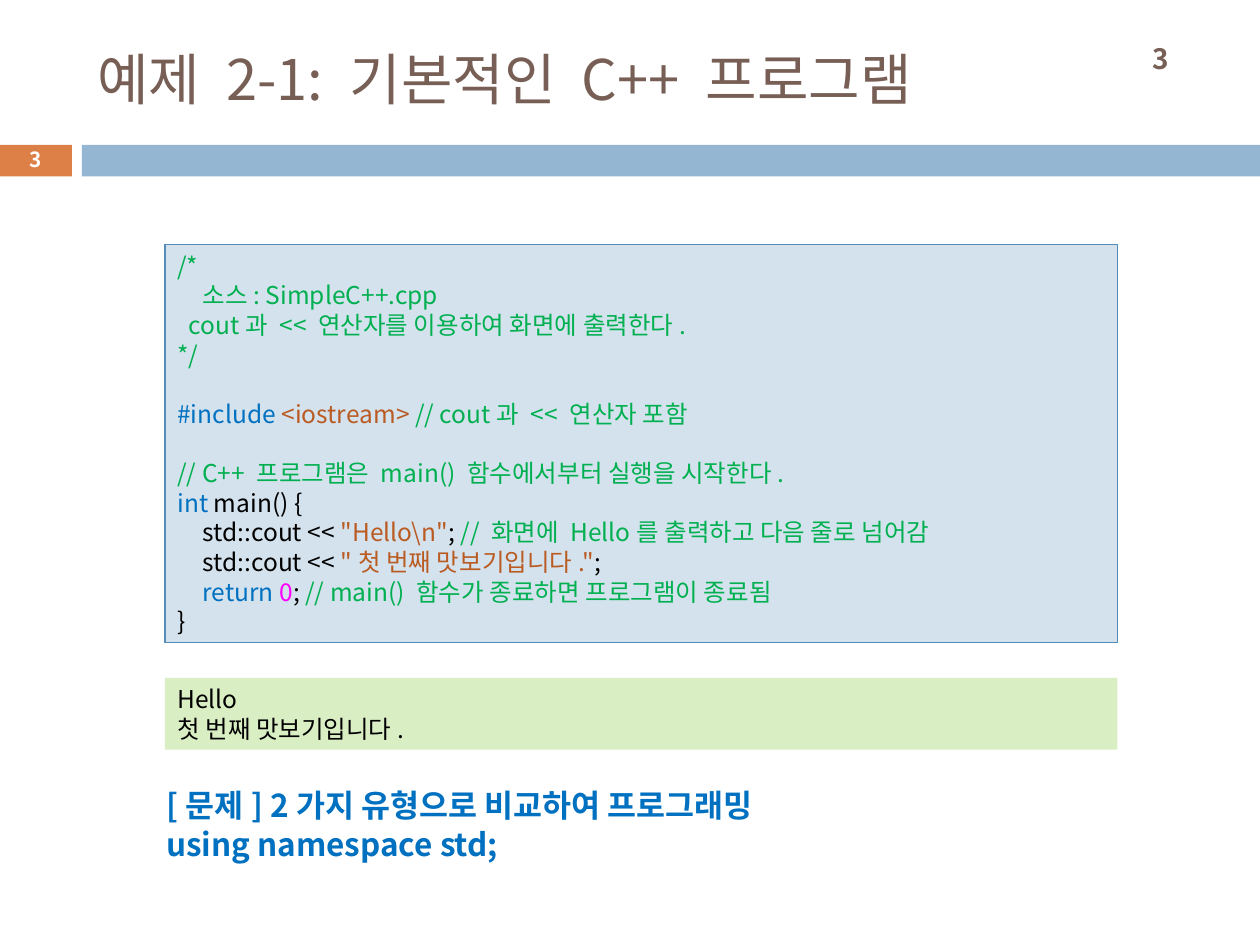
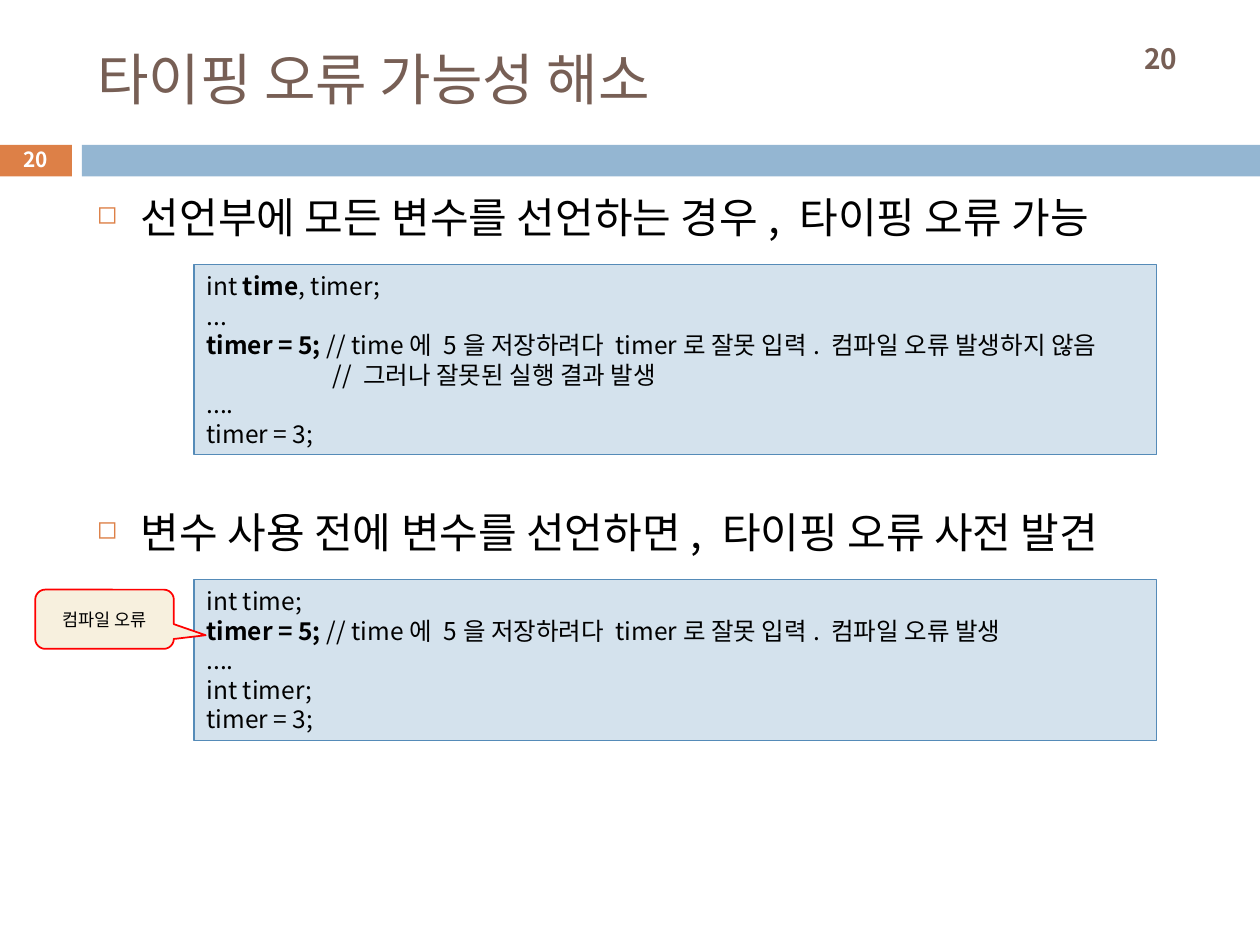
from dataclasses import dataclass

from lxml import etree
from pptx import Presentation
from pptx import util as u
from pptx.dml.color import RGBColor
from pptx.enum import shapes, text
from pptx.oxml.ns import qn


@dataclass(frozen=True)
class Theme:
    font: str = "Noto Sans CJK KR"
    brown: str = "775F55"
    orange: str = "DD8047"
    band: str = "94B6D2"
    code_fill: str = "D4E2ED"
    code_line: str = "558BB8"
    output_fill: str = "DAEEC4"
    callout_fill: str = "F7F0DE"
    red: str = "FF0000"
    black: str = "000000"
    white: str = "FFFFFF"
    comment: str = "00B050"
    keyword: str = "0070C0"
    literal: str = "B95B22"
    number: str = "FF00FF"
    title_size: float = 32
    body_size: float = 24
    task_size: float = 18
    page_size: float = 16
    code_size: float = 14
    badge_size: float = 11.9
    note_size: float = 10
    line_height: float = 1.21


@dataclass(frozen=True)
class Span:
    text: str
    color: str = Theme.black
    bold: bool = False


@dataclass(frozen=True)
class Line:
    spans: tuple
    indent: float = 0  # inches
    gap: float = 0  # points above the line
    bullet: bool = False


theme = Theme()
blank_line = theme.code_size * theme.line_height


def write(box, lines, size, centred=False):
    """Fill a shape with lines; centred labels keep the natural line height."""
    frame = box.text_frame
    frame.word_wrap = True
    frame.auto_size = text.MSO_AUTO_SIZE.NONE
    frame.vertical_anchor = text.MSO_ANCHOR.MIDDLE if centred else text.MSO_ANCHOR.TOP
    for index, line in enumerate(lines):
        para = frame.paragraphs[0] if index == 0 else frame.add_paragraph()
        para.alignment = text.PP_ALIGN.CENTER if centred else text.PP_ALIGN.LEFT
        para.space_before = u.Pt(line.gap)
        if not centred:
            para.line_spacing = u.Pt(size * theme.line_height)
        para.font.size = u.Pt(size)
        para.font.name = theme.font
        para.font.color.rgb = RGBColor.from_string(line.spans[0].color)
        para.font.bold = line.spans[0].bold
        properties = para._p.get_or_add_pPr()
        defaults = properties.find(qn("a:defRPr"))
        defaults.find(qn("a:latin")).addnext(
            etree.Element(qn("a:ea"), typeface=theme.font))
        properties.set("marL", str(u.Inches(line.indent)))
        properties.set("indent", str(u.Inches(-line.indent if line.bullet else 0)))
        if line.bullet:
            bullet_color = etree.Element(qn("a:buClr"))
            etree.SubElement(bullet_color, qn("a:srgbClr"), val=theme.orange)
            defaults.addprevious(bullet_color)
            defaults.addprevious(etree.Element(qn("a:buSzPct"), val="60000"))
            defaults.addprevious(etree.Element(qn("a:buChar"), char="◻"))
        for part in line.spans:
            span = para.add_run()
            span.text = part.text
            if part.color != line.spans[0].color:
                span.font.color.rgb = RGBColor.from_string(part.color)
            if part.bold != line.spans[0].bold:
                span.font.bold = part.bold


def add_panel(page, place, fill, outline=None, width=0.75,
              kind=shapes.MSO_SHAPE.RECTANGLE):
    panel = page.shapes.add_shape(kind, *map(u.Inches, place))
    panel.shadow.inherit = False
    panel.fill.solid()
    panel.fill.fore_color.rgb = RGBColor.from_string(fill)
    if outline:
        panel.line.color.rgb = RGBColor.from_string(outline)
        panel.line.width = u.Pt(width)
    else:
        panel.line.fill.background()
    return panel


deck = Presentation()
deck.slide_width, deck.slide_height = u.Inches(10), u.Inches(7.5)

# Title, bands and page numbers of every slide
pages = []
for heading, number in (("예제 2-1: 기본적인 C++ 프로그램", "3"),
                        ("타이핑 오류 가능성 해소", "20")):
    page = deck.slides.add_slide(deck.slide_layouts[5])
    pages.append(page)
    add_panel(page, (-0.01, 1.15, 0.58, 0.25), theme.orange)
    add_panel(page, (0.65, 1.15, 9.35, 0.25), theme.band)

    title = page.shapes.title
    title.left, title.top = u.Inches(0.67), u.Inches(0.25)
    title.width, title.height = u.Inches(8.92), u.Inches(0.74)
    write(title, [Line((Span(heading, theme.brown),))], theme.title_size, centred=True)
    title.text_frame.paragraphs[0].alignment = text.PP_ALIGN.LEFT

    for place, color, size in (
            ((8.75, 0.25, 0.92, 0.42), theme.brown, theme.page_size),
            ((-0.01, 1.13, 0.58, 0.27), theme.white, theme.badge_size)):
        number_box = page.shapes.add_textbox(*map(u.Inches, place))
        write(number_box, [Line((Span(number, color, True),))], size, centred=True)

example_page, typing_page = pages

# Basic program, its output and the exercise
source = add_panel(example_page, (1.31, 1.94, 7.56, 3.16),
                   theme.code_fill, theme.code_line)
write(source, [
    Line((Span("/*", theme.comment),)),
    Line((Span("소스: SimpleC++.cpp", theme.comment),), indent=0.2),
    Line((Span("cout과 << 연산자를 이용하여 화면에 출력한다.", theme.comment),),
         indent=0.09),
    Line((Span("*/", theme.comment),)),
    Line((Span("#include ", theme.keyword), Span("<iostream> ", theme.literal),
          Span("// cout과 << 연산자 포함", theme.comment)), gap=blank_line),
    Line((Span("// C++ 프로그램은 main() 함수에서부터 실행을 시작한다.", theme.comment),),
         gap=blank_line),
    Line((Span("int ", theme.keyword), Span("main() {"))),
    Line((Span("std::cout << "), Span('"Hello\\n"', theme.literal), Span("; "),
          Span("// 화면에 Hello를 출력하고 다음 줄로 넘어감", theme.comment)), indent=0.2),
    Line((Span("std::cout << "), Span('"첫 번째 맛보기입니다."', theme.literal),
          Span(";")), indent=0.2),
    Line((Span("return ", theme.keyword), Span("0", theme.number), Span("; "),
          Span("// main() 함수가 종료하면 프로그램이 종료됨", theme.comment)), indent=0.2),
    Line((Span("}"),)),
], theme.code_size)

output = add_panel(example_page, (1.31, 5.38, 7.56, 0.57), theme.output_fill)
write(output, [Line((Span("Hello"),)), Line((Span("첫 번째 맛보기입니다."),))],
      theme.code_size)

exercise = example_page.shapes.add_textbox(
    *map(u.Inches, (1.22, 6.19, 5.18, 0.71)))
write(exercise, [
    Line((Span("[문제] 2가지 유형으로 비교하여 프로그래밍", theme.keyword, True),)),
    Line((Span("using namespace std;", theme.keyword, True),)),
], theme.task_size)
exercise.text_frame.word_wrap = False

# Two ways of declaring variables
body = typing_page.shapes.add_textbox(*map(u.Inches, (0.67, 1.47, 8.92, 5.51)))
write(body, [
    Line((Span("선언부에 모든 변수를 선언하는 경우, 타이핑 오류 가능"),),
         indent=0.35, bullet=True),
    Line((Span("변수 사용 전에 변수를 선언하면, 타이핑 오류 사전 발견"),),
         indent=0.35, gap=150.5, bullet=True),
], theme.body_size)

mistake = Span("timer = 5; ", bold=True)
for top, height, lines in (
    (2.1, 1.51, [
        Line((Span("int "), Span("time", bold=True), Span(", timer;"))),
        Line((Span("..."),)),
        Line((mistake, Span("// time에 5을 저장하려다 timer로 잘못 입력. "
                            "컴파일 오류 발생하지 않음"))),
        Line((Span("// 그러나 잘못된 실행 결과 발생"),), indent=1),
        Line((Span("...."),)),
        Line((Span("timer = 3;"),)),
    ]),
    (4.6, 1.28, [
        Line((Span("int time;"),)),
        Line((mistake, Span("// time에 5을 저장하려다 timer로 잘못 입력. "
                            "컴파일 오류 발생"))),
        Line((Span("...."),)),
        Line((Span("int timer;"),)),
        Line((Span("timer = 3;"),)),
    ]),
):
    listing = add_panel(typing_page, (1.54, top, 7.64, height),
                        theme.code_fill, theme.code_line)
    write(listing, lines, theme.code_size)

callout = add_panel(typing_page, (0.28, 4.68, 1.1, 0.47), theme.callout_fill,
                    theme.red, 1, shapes.MSO_SHAPE.ROUNDED_RECTANGULAR_CALLOUT)
for index, value in enumerate((0.73, 0.27, 0.17)):
    callout.adjustments[index] = value
write(callout, [Line((Span("컴파일 오류"),))], theme.note_size, centred=True)

deck.save("out.pptx")
